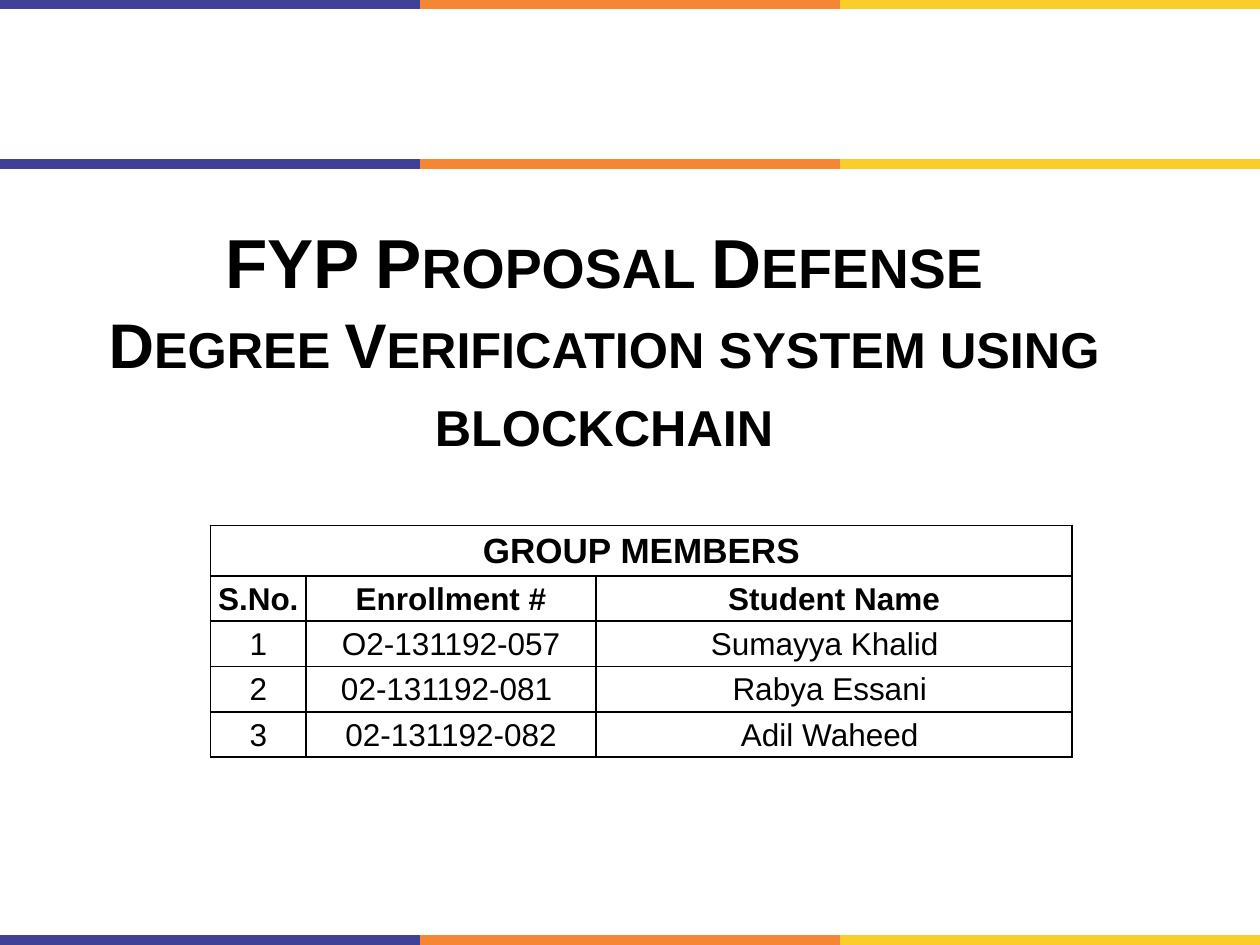
from dataclasses import dataclass

from lxml.etree import SubElement
from pptx import Presentation
from pptx.dml.color import RGBColor
from pptx.enum.shapes import MSO_CONNECTOR
from pptx.enum.text import MSO_ANCHOR, MSO_AUTO_SIZE, PP_ALIGN
from pptx.oxml.ns import qn
from pptx.util import Inches, Pt

WIDTH, HEIGHT = 10, 7.5
FONT = "Arial"
BLACK = RGBColor(0x00, 0x00, 0x00)
INDIGO = RGBColor(0x40, 0x40, 0x96)
ORANGE = RGBColor(0xF5, 0x86, 0x34)
YELLOW = RGBColor(0xFA, 0xCD, 0x2A)
BAND_COLORS = (INDIGO, ORANGE, YELLOW)
BAND_TOPS = (0.03, 1.3, 7.46)


@dataclass(frozen=True)
class TitleLine:
    text: str
    size: float


@dataclass(frozen=True)
class Entry:
    text: str
    size: float = 18
    bold: bool = False
    nudge: float = 0  # extra right margin, in inches


TITLE_LINES = (
    TitleLine("FYP Proposal Defense", 39.6),
    TitleLine("Degree Verification system using blockchain", 36),
)
COLUMNS = (0.76, 2.3, 3.78)
ROWS = (0.4, 0.36, 0.36, 0.36, 0.36)
MEMBERS = (
    (Entry("GROUP MEMBERS", 20, True),),
    tuple(Entry(head, bold=True) for head in ("S.No.", "Enrollment #", "Student Name")),
    (Entry("1"), Entry("O2-131192-057"), Entry("Sumayya Khalid", nudge=0.15)),
    (Entry("2"), Entry("02-131192-081", nudge=0.07), Entry("Rabya Essani", nudge=0.07)),
    (Entry("3"), Entry("02-131192-082"), Entry("Adil Waheed", nudge=0.07)),
)


def style_font(font, size: float, bold: bool) -> None:
    font.name, font.size, font.bold = FONT, Pt(size), bold
    font.color.rgb = BLACK


def draw_band(page, top: float) -> None:
    """Draw one stripe across the page, split equally between the colours."""
    share = WIDTH / len(BAND_COLORS)
    for index, color in enumerate(BAND_COLORS):
        stripe = page.shapes.add_connector(
            MSO_CONNECTOR.STRAIGHT, Inches(index * share), Inches(top),
            Inches((index + 1) * share), Inches(top))
        stripe.line.color.rgb = color
        stripe.line.width = Pt(6)
        SubElement(stripe._element.spPr, qn("a:effectLst"))


def write_title(page) -> None:
    box = page.shapes.title
    box.left, box.top = Inches(0.42), Inches(1.92)
    box.width, box.height = Inches(8.75), Inches(1.52)
    frame = box.text_frame
    frame.word_wrap = True
    frame.auto_size = MSO_AUTO_SIZE.NONE
    frame.vertical_anchor = MSO_ANCHOR.MIDDLE
    para = frame.paragraphs[0]
    para.alignment = PP_ALIGN.CENTER
    para.line_spacing = 1.04
    for index, line in enumerate(TITLE_LINES):
        if index:
            para.add_line_break()
        span = para.add_run()
        span.text = line.text
        style_font(span.font, line.size, True)
        span.font._element.set("cap", "small")


def add_borders(cell) -> None:
    properties = cell._tc.get_or_add_tcPr()
    for position, side in enumerate(("a:lnL", "a:lnR", "a:lnT", "a:lnB")):
        edge = properties.makeelement(qn(side), {"w": str(Pt(1))})
        fill = SubElement(edge, qn("a:solidFill"))
        SubElement(fill, qn("a:srgbClr"), val=str(BLACK))
        properties.insert(position, edge)


def write_cell(cell, entry: Entry) -> None:
    cell.vertical_anchor = MSO_ANCHOR.MIDDLE
    cell.margin_left = cell.margin_top = Inches(0.01)
    cell.margin_right = Inches(0.01 + entry.nudge)
    cell.margin_bottom = 0
    para = cell.text_frame.paragraphs[0]
    para.alignment = PP_ALIGN.CENTER
    span = para.add_run()
    span.text = entry.text
    style_font(span.font, entry.size, entry.bold)


def draw_members(page) -> None:
    table = page.shapes.add_table(
        len(ROWS), len(COLUMNS), Inches(1.67), Inches(4.17),
        Inches(sum(COLUMNS)), Inches(sum(ROWS))).table
    table.first_row = table.horz_banding = False
    for column, width in zip(table.columns, COLUMNS):
        column.width = Inches(width)
    for row, height in zip(table.rows, ROWS):
        row.height = Inches(height)
    table.cell(0, 0).merge(table.cell(0, len(COLUMNS) - 1))
    for cell in table.iter_cells():
        cell.fill.background()
        add_borders(cell)
    for row_index, entries in enumerate(MEMBERS):
        for column_index, entry in enumerate(entries):
            write_cell(table.cell(row_index, column_index), entry)


deck = Presentation()
deck.slide_width, deck.slide_height = Inches(WIDTH), Inches(HEIGHT)
page = deck.slides.add_slide(deck.slide_layouts[0])
subtitle = page.placeholders[1]._element
subtitle.getparent().remove(subtitle)

# Coloured bands at the top, under the header and at the foot
for top in BAND_TOPS:
    draw_band(page, top)

# Title and group table
write_title(page)
draw_members(page)

deck.save("out.pptx")
